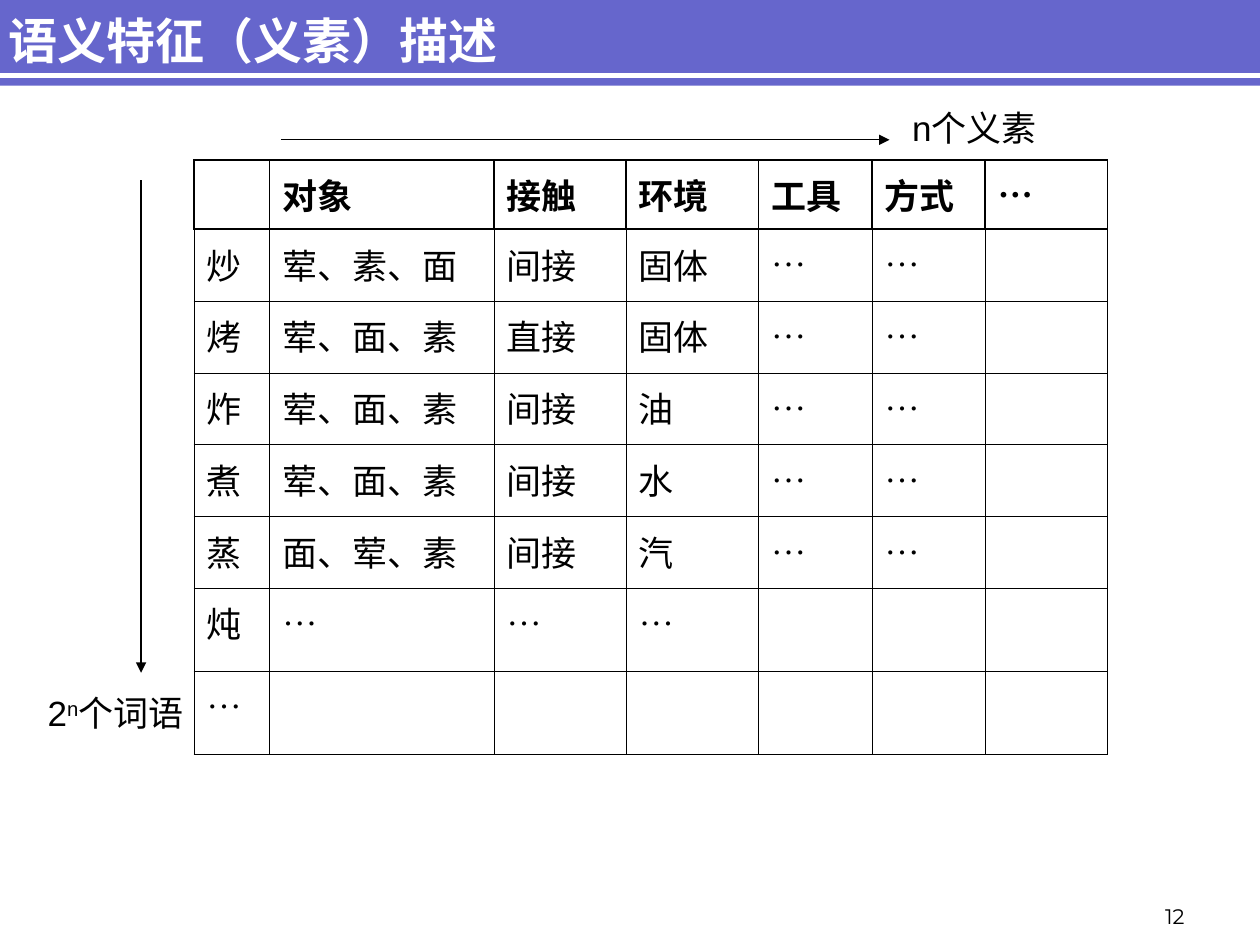
import dataclasses
import typing

import lxml.etree
import pptx
import pptx.dml.color
import pptx.enum.shapes
import pptx.enum.text
import pptx.oxml.ns
import pptx.util

Inches = pptx.util.Inches
Pt = pptx.util.Pt
qn = pptx.oxml.ns.qn
Align = pptx.enum.text.PP_ALIGN
Anchor = pptx.enum.text.MSO_ANCHOR

COLORS = {"band": "6666CC", "paper": "FFFFFF", "ink": "000000"}
CJK_FONT = "Noto Sans CJK SC"
ELLIPSIS = "…"

COLUMN_WIDTHS = [0.6, 1.78, 1.05, 1.05, 0.9, 0.9, 0.97]
ROW_HEIGHTS = [0.55] + [0.57] * 5 + [0.66] * 2
FEATURES = [
    ["", "对象", "接触", "环境", "工具", "方式", "…"],
    ["炒", "荤、素、面", "间接", "固体", "…", "…", ""],
    ["烤", "荤、面、素", "直接", "固体", "…", "…", ""],
    ["炸", "荤、面、素", "间接", "油", "…", "…", ""],
    ["煮", "荤、面、素", "间接", "水", "…", "…", ""],
    ["蒸", "面、荤、素", "间接", "汽", "…", "…", ""],
    ["炖", "…", "…", "…", "", "", ""],
    ["…", "", "", "", "", "", ""],
]


@dataclasses.dataclass
class TextStyle:
    size: float
    latin: str
    asian: str
    color: str = "ink"
    bold: bool = False


@dataclasses.dataclass
class Label:
    box: tuple[float, float, float, float]
    runs: list[tuple[str, int]]
    style: TextStyle
    anchor: typing.Any = Anchor.TOP
    align: typing.Any = Align.LEFT


@dataclasses.dataclass
class Rule:
    start: tuple[float, float]
    end: tuple[float, float]
    color: str
    width: float
    arrow: bool = False


LABEL_STYLE = TextStyle(20, "Arial", "Lato")
LABELS = [
    Label((7.42, 6.92, 2.08, 0.5), [("12", 0)],
          TextStyle(12, "Montserrat", "Montserrat"), Anchor.BOTTOM, Align.RIGHT),
    Label((-0.03, -0.02, 7.87, 0.68), [("语义特征（义素）描述", 0)],
          TextStyle(28, CJK_FONT, CJK_FONT, "paper", True), Anchor.MIDDLE),
    Label((7.14, 0.8, 1.42, 0.44), [("n个义素", 0)], LABEL_STYLE),
    Label((0.28, 5.44, 1.34, 0.77), [("2", 0), ("n", 30), ("个词语", 0)], LABEL_STYLE),
]
RULES = [
    Rule((-0.04, 0.6), (10, 0.6), "paper", 3),
    Rule((2.23, 1.11), (7.06, 1.11), "ink", 0.75, True),
    Rule((1.12, 1.43), (1.12, 5.34), "ink", 0.75, True),
]


def rgb(name: str) -> pptx.dml.color.RGBColor:
    return pptx.dml.color.RGBColor.from_string(COLORS[name])


def style_paragraph(paragraph: typing.Any, style: TextStyle) -> None:
    font = paragraph.font
    font.size = Pt(style.size)
    font.bold = style.bold
    font.name = style.latin
    font.color.rgb = rgb(style.color)
    for run in paragraph.runs:
        asian = lxml.etree.SubElement(run.font._element, qn("a:ea"))
        asian.set("typeface", style.asian)


def add_band(slide: typing.Any) -> None:
    band = slide.shapes.add_shape(
        pptx.enum.shapes.MSO_SHAPE.RECTANGLE,
        Inches(-0.04), Inches(-0.03), Inches(10.04), Inches(0.71))
    band.shadow.inherit = False
    band.fill.solid()
    band.fill.fore_color.rgb = rgb("band")
    band.line.fill.background()


def add_rule(slide: typing.Any, rule: Rule) -> None:
    connector = slide.shapes.add_connector(
        pptx.enum.shapes.MSO_CONNECTOR.STRAIGHT,
        *map(Inches, rule.start + rule.end))
    connector.line.color.rgb = rgb(rule.color)
    connector.line.width = Pt(rule.width)
    if rule.arrow:
        outline = connector.line._get_or_add_ln()
        lxml.etree.SubElement(outline, qn("a:tailEnd")).set("type", "triangle")
    lxml.etree.SubElement(connector._element.spPr, qn("a:effectLst"))


def add_label(slide: typing.Any, label: Label) -> None:
    frame = slide.shapes.add_textbox(*map(Inches, label.box)).text_frame
    frame.word_wrap = True
    frame.vertical_anchor = label.anchor
    paragraph = frame.paragraphs[0]
    paragraph.alignment = label.align
    for text, baseline in label.runs:
        run = paragraph.add_run()
        run.text = text
        if baseline:
            run.font._element.set("baseline", str(baseline * 1000))
    style_paragraph(paragraph, label.style)


def set_borders(cell: typing.Any, widths: dict[str, float]) -> None:
    properties = cell._tc.get_or_add_tcPr()
    for side, width in widths.items():
        border = lxml.etree.SubElement(properties, qn(f"a:ln{side}"))
        border.set("w", str(Pt(width)))
        fill = lxml.etree.SubElement(border, qn("a:solidFill"))
        lxml.etree.SubElement(fill, qn("a:srgbClr")).set("val", COLORS["ink"])


def add_feature_table(slide: typing.Any) -> None:
    table = slide.shapes.add_table(
        len(ROW_HEIGHTS), len(COLUMN_WIDTHS), Inches(1.54), Inches(1.27),
        Inches(sum(COLUMN_WIDTHS)), Inches(sum(ROW_HEIGHTS))).table
    table.first_row = False
    table.horz_banding = False
    for column, width in zip(table.columns, COLUMN_WIDTHS):
        column.width = Inches(width)
    for row, height in zip(table.rows, ROW_HEIGHTS):
        row.height = Inches(height)
    for row_index, texts in enumerate(FEATURES):
        header = row_index == 0
        side_width = 1.08 if header else 0.45
        widths = dict.fromkeys("LRTB", side_width)
        if row_index == 1:
            widths["T"] = 1.08
        for column_index, text in enumerate(texts):
            cell = table.cell(row_index, column_index)
            set_borders(cell, widths)
            cell.fill.background()
            cell.margin_left = cell.margin_right = Inches(0.1)
            cell.margin_bottom = Inches(0.05)
            cell.margin_top = Inches(0.05 if text == ELLIPSIS else 0.12)
            if text:
                cell.text = text
                fonts = ("Times New Roman", CJK_FONT) if text == ELLIPSIS else ("Lato", "Lato")
                style_paragraph(cell.text_frame.paragraphs[0],
                                TextStyle(20, *fonts, bold=header))


def main() -> None:
    presentation = pptx.Presentation()
    presentation.slide_width = Inches(10)
    presentation.slide_height = Inches(7.5)
    slide = presentation.slides.add_slide(presentation.slide_layouts[6])
    add_band(slide)
    for rule in RULES:
        add_rule(slide, rule)
    add_feature_table(slide)
    for label in LABELS:
        add_label(slide, label)
    presentation.save("out.pptx")


if __name__ == "__main__":
    main()
